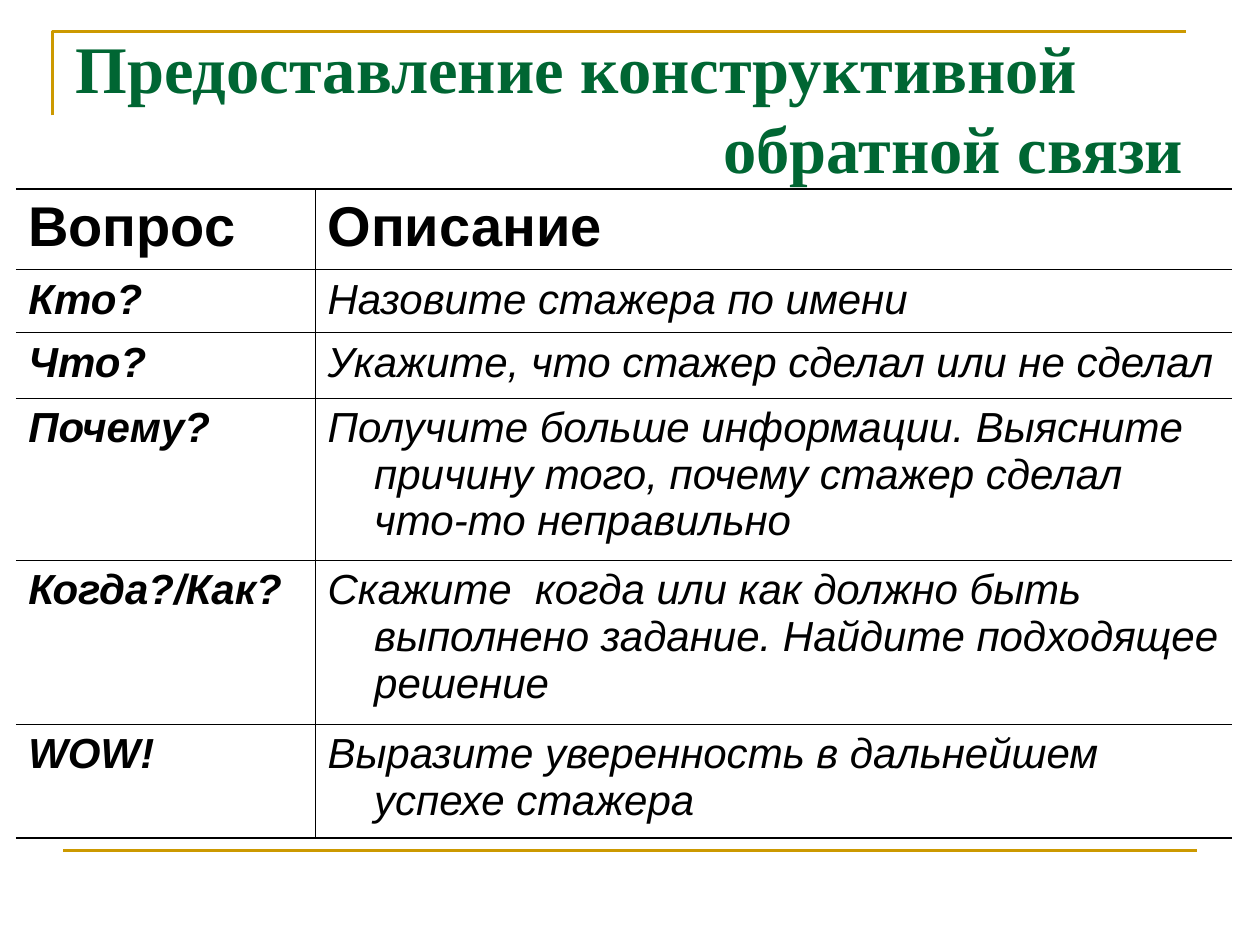
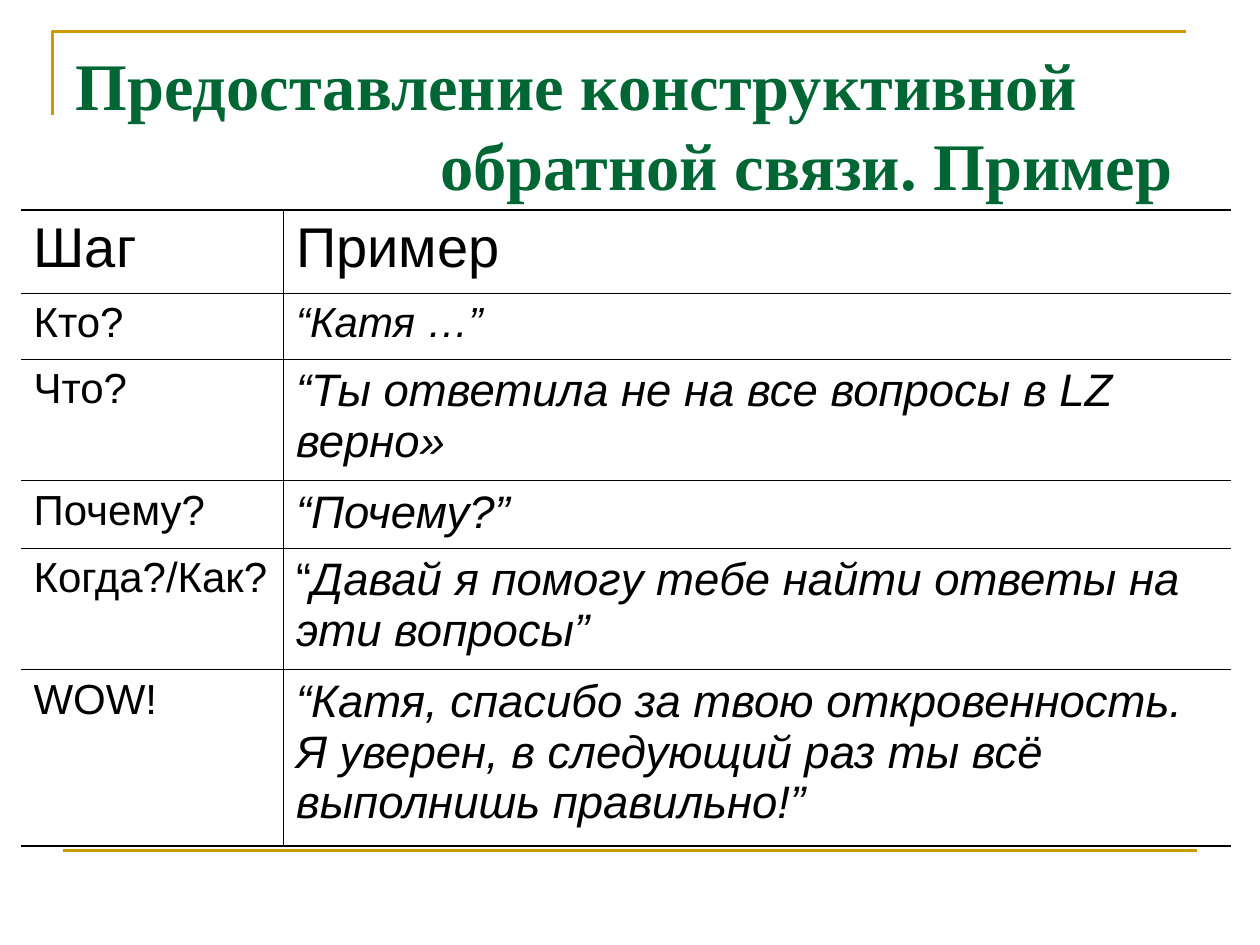
from dataclasses import dataclass

from pptx import Presentation
from pptx.dml.color import RGBColor
from pptx.enum.text import MSO_ANCHOR, MSO_AUTO_SIZE, PP_ALIGN
from pptx.enum.shapes import MSO_CONNECTOR
from pptx.oxml.ns import qn
from pptx.util import Emu, Inches, Pt
from lxml.etree import SubElement

GREEN = RGBColor(0x00, 0x66, 0x33)
GOLD = RGBColor(0xCC, 0x99, 0x00)
BLACK = RGBColor(0x00, 0x00, 0x00)

TITLE_FONT = "Times New Roman"
BODY_FONT = "Arial"
TITLE_ONLY = 5
GRID_COLUMNS = 120
GRID_ROWS = 90
THIN, THICK = Pt(0.45), Pt(1.08)
HANGING = Inches(0.37)


@dataclass
class TextStyle:
    size: float
    bold: bool = False
    italic: bool = False
    font: str = BODY_FONT
    color: RGBColor = BLACK

    def apply(self, paragraph):
        font = paragraph.font
        font.name, font.size = self.font, Pt(self.size)
        font.bold, font.italic = self.bold, self.italic
        font.color.rgb = self.color


TITLE = TextStyle(38, bold=True, font=TITLE_FONT, color=GREEN)
BOLD_HEADER = TextStyle(32, bold=True)
PLAIN_HEADER = TextStyle(32)
BOLD_QUESTION = TextStyle(24, bold=True, italic=True)
PLAIN_QUESTION = TextStyle(24)
DESCRIPTION = TextStyle(24, italic=True)
EXAMPLE = TextStyle(26, italic=True)


def set_border(cell, side, width):
    """Draw one side of a cell; a width of None leaves it blank."""
    line = SubElement(cell._tc.get_or_add_tcPr(), qn(f"a:ln{side}"))
    if width is None:
        SubElement(line, qn("a:noFill"))
        return
    line.set("w", str(int(width)))
    fill = SubElement(line, qn("a:solidFill"))
    SubElement(fill, qn("a:srgbClr")).set("val", str(BLACK))


class FeedbackDeck:
    def __init__(self):
        self.deck = Presentation()
        self.deck.slide_width, self.deck.slide_height = Inches(10), Inches(7.5)
        self.page = None

    def x(self, columns):
        return Emu(round(self.deck.slide_width * columns / GRID_COLUMNS))

    def y(self, rows):
        return Emu(round(self.deck.slide_height * rows / GRID_ROWS))

    def add_page(self):
        layout = self.deck.slide_layouts[TITLE_ONLY]
        self.page = self.deck.slides.add_slide(layout)
        self.add_corner()
        self.add_bottom_rule()

    def add_corner(self):
        builder = self.page.shapes.build_freeform(self.x(5), self.y(11))
        builder.add_line_segments(
            [(self.x(5), self.y(3)), (self.x(113), self.y(3))], close=False)
        corner = builder.convert_to_shape()
        corner.shadow.inherit = False
        corner.fill.background()
        self.paint_line(corner)

    def add_bottom_rule(self):
        rule = self.page.shapes.add_connector(
            MSO_CONNECTOR.STRAIGHT, self.x(6), self.y(81), self.x(114), self.y(81))
        SubElement(rule._element.spPr, qn("a:effectLst"))
        self.paint_line(rule)

    def paint_line(self, shape):
        shape.line.color.rgb = GOLD
        shape.line.width = Pt(1.5)

    def add_title(self, first_line, second_line, top, width):
        """Set a two-line title: first line left, second line right."""
        box = self.page.shapes.title
        box.left, box.top = self.x(6), self.y(top)
        box.width, box.height = self.x(width), self.y(15)
        frame = box.text_frame
        frame.auto_size = MSO_AUTO_SIZE.NONE
        frame.vertical_anchor = MSO_ANCHOR.TOP
        frame.margin_top, frame.margin_bottom = Inches(0.05), 0
        frame.margin_right = Inches(0.19)
        first, second = frame.paragraphs[0], frame.add_paragraph()
        first.text, second.text = first_line, second_line
        first.alignment, second.alignment = PP_ALIGN.LEFT, PP_ALIGN.RIGHT
        for paragraph in (first, second):
            paragraph.space_before = Pt(0)
            TITLE.apply(paragraph)

    def add_table(self, left, top, widths, rows, hanging=False):
        """Rows hold a height and then a (text, style) pair for each column."""
        heights = [height for height, *_ in rows]
        table = self.page.shapes.add_table(
            len(rows), len(widths), self.x(left), self.y(top),
            self.x(sum(widths)), self.y(sum(heights))).table
        table.first_row = table.horz_banding = False
        for column, width in zip(table.columns, widths):
            column.width = self.x(width)
        last_row, last_column = len(rows) - 1, len(widths) - 1
        for r, (height, *entries) in enumerate(rows):
            table.rows[r].height = self.y(height)
            for c, (text, style) in enumerate(entries):
                cell = table.cell(r, c)
                self.fill_cell(cell, text, style, hanging)
                set_border(cell, "L", THIN if c else None)
                set_border(cell, "R", THIN if c < last_column else None)
                set_border(cell, "T", THIN if r else THICK)
                set_border(cell, "B", THIN if r < last_row else THICK)
                cell.fill.background()

    def fill_cell(self, cell, text, style, hanging):
        paragraph = cell.text_frame.paragraphs[0]
        if hanging:
            properties = paragraph._p.get_or_add_pPr()
            properties.set("marL", str(HANGING))
            properties.set("indent", str(-HANGING))
        style.apply(paragraph)
        # A tuple holds an upright opening and the rest in the cell's style.
        opening, rest = text if isinstance(text, tuple) else ("", text)
        if opening:
            span = paragraph.add_run()
            span.text = opening
            span.font.italic = False
        paragraph.add_run().text = rest


def add_questions(slides):
    slides.add_page()
    slides.add_title("Предоставление конструктивной", "обратной связи",
                     top=2, width=109)
    descriptions = [
        (6, "Кто?", "Назовите стажера по имени"),
        (6.2, "Что?", "Укажите, что стажер сделал или не сделал"),
        (15.5, "Почему?", "Получите больше информации. Выясните причину того, "
                          "почему стажер сделал  что-то неправильно"),
        (15.6, "Когда?/Как?", "Скажите  когда или как должно быть выполнено "
                              "задание. Найдите подходящее решение"),
        (10.8, "WOW!", "Выразите уверенность в дальнейшем успехе стажера"),
    ]
    rows = [(7.7, ("Вопрос", BOLD_HEADER), ("Описание", BOLD_HEADER))]
    rows += [(height, (question, BOLD_QUESTION), (description, DESCRIPTION))
             for height, question, description in descriptions]
    slides.add_table(1.5, 18, (28.5, 87.3), rows, hanging=True)


def add_examples(slides):
    slides.add_page()
    slides.add_title("Предоставление конструктивной", "обратной связи. Пример",
                     top=3.6, width=108)
    examples = [
        (6.3, "Кто?", "“Катя …”", DESCRIPTION),
        (11.6, "Что?", "“Ты ответила не на все вопросы в LZ верно»", EXAMPLE),
        (6.4, "Почему?", "“Почему?”", EXAMPLE),
        (11.6, "Когда?/Как?",
         ("“", "Давай я помогу тебе найти ответы на эти вопросы”"), EXAMPLE),
        (16.8, "WOW!", "“Катя, спасибо за твою откровенность. Я уверен, "
                       "в следующий раз ты всё выполнишь правильно!”", EXAMPLE),
    ]
    rows = [(7.9, ("Шаг", PLAIN_HEADER), ("Пример", PLAIN_HEADER))]
    rows += [(height, (step, PLAIN_QUESTION), (example, style))
             for height, step, example, style in examples]
    slides.add_table(2, 20, (25, 90.2), rows)


def main():
    slides = FeedbackDeck()
    add_questions(slides)
    add_examples(slides)
    slides.deck.save("out.pptx")


if __name__ == "__main__":
    main()
